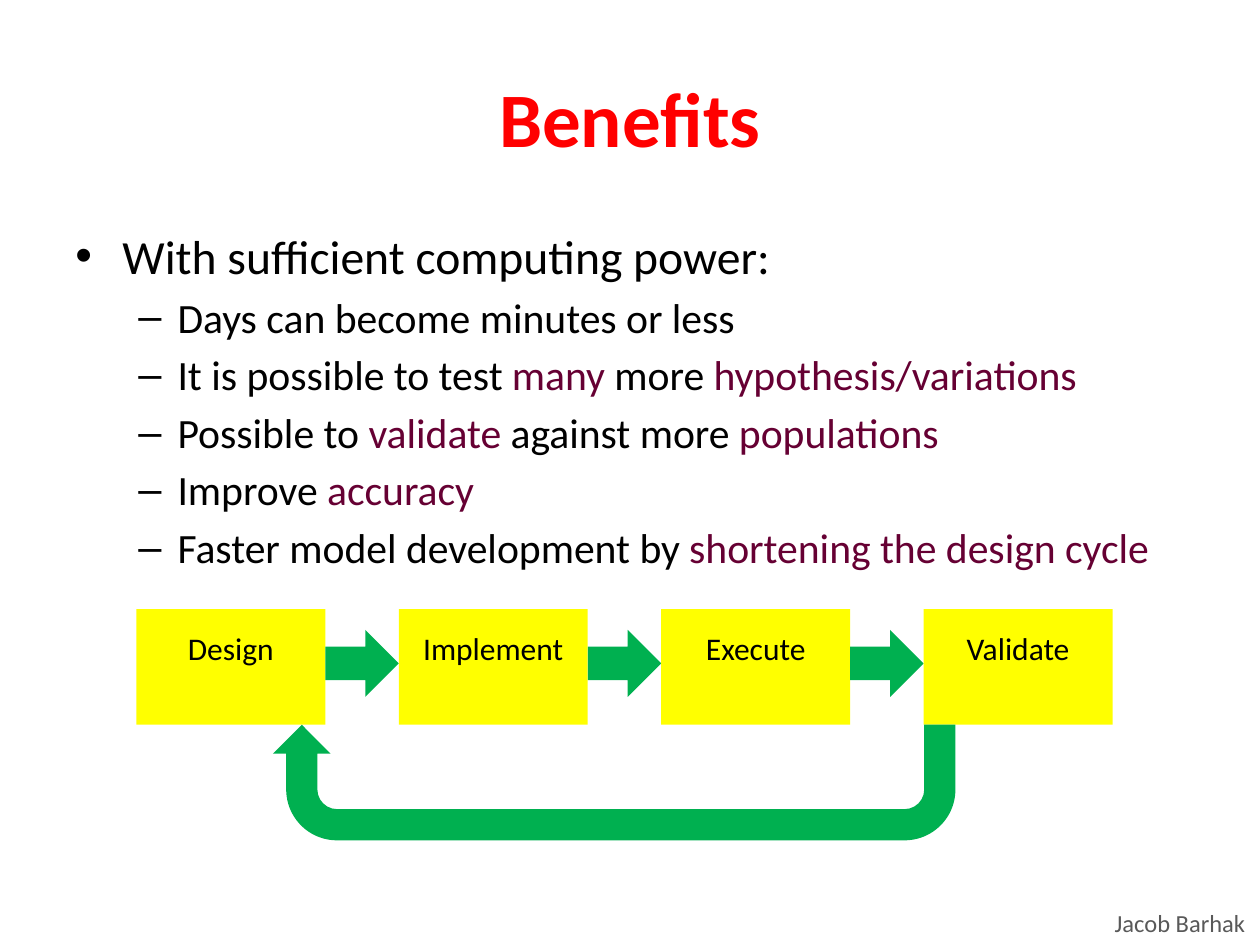
from lxml.etree import SubElement
from pptx import Presentation
from pptx.dml.color import RGBColor
from pptx.enum.shapes import MSO_SHAPE
from pptx.enum.text import MSO_ANCHOR, PP_ALIGN
from pptx.oxml.ns import qn
from pptx.util import Cm, Pt

BLACK, RED, PLUM, GRAY = "000000", "FF0000", "660033", "595959"
YELLOW, GREEN = "FFFF00", "00B050"

HEADING = "With sufficient computing power:"
# Each benefit alternates plain and highlighted text.
BENEFITS = [
    ["Days can become minutes or less"],
    ["It is possible to test ", "many", " more ", "hypothesis/variations"],
    ["Possible to ", "validate", " against more ", "populations"],
    ["Improve ", "accuracy"],
    ["Faster model development by ", "shortening the design cycle"],
]
STAGES = ["Design", "Implement", "Execute", "Validate"]


def color(value):
    return RGBColor.from_string(value)


class SlideBuilder:
    """Holds the text style and the slide being filled."""

    font_name = "Calibri"

    def __init__(self, page):
        self.page = page

    def style(self, para, size, ink, bold=False):
        para.font.name = self.font_name
        para.font.size = Pt(size)
        para.font.bold = bold
        para.font.color.rgb = color(ink)

    def text_box(self, left, top, width, height, wrap=True):
        box = self.page.shapes.add_textbox(Cm(left), Cm(top), Cm(width), Cm(height))
        box.text_frame.word_wrap = wrap
        return box.text_frame

    def label(self, frame, text, size, ink, bold=False, align=PP_ALIGN.CENTER):
        para = frame.paragraphs[0]
        para.text = text
        para.alignment = align
        self.style(para, size, ink, bold)

    def bullet(self, para, parts, size, symbol, margin, hanging, before):
        """Fill a bulleted paragraph, highlighting every second part."""
        self.style(para, size, BLACK)
        para.space_before = Pt(before)
        for index, part in enumerate(parts):
            span = para.add_run()
            span.text = part
            if index % 2:
                span.font.color.rgb = color(PLUM)
        properties = para._p.get_or_add_pPr()
        properties.set("marL", str(Cm(margin)))
        properties.set("indent", str(-Cm(hanging)))
        SubElement(properties, qn("a:buFont"), typeface="Arial")
        SubElement(properties, qn("a:buChar"), char=symbol)

    def shape(self, kind, left, top, width, height, fill):
        shape = self.page.shapes.add_shape(kind, Cm(left), Cm(top), Cm(width), Cm(height))
        shape.shadow.inherit = False
        shape.fill.solid()
        shape.fill.fore_color.rgb = color(fill)
        shape.line.fill.background()
        return shape

    def stage(self, name, left, top, width, height):
        """Add a stage box whose label sits one line above the bottom half."""
        frame = self.shape(MSO_SHAPE.RECTANGLE, left, top, width, height, YELLOW).text_frame
        frame.vertical_anchor = MSO_ANCHOR.MIDDLE
        frame.margin_bottom = Cm(0.9)
        self.label(frame, name, 18, BLACK)


def main():
    deck = Presentation()
    deck.slide_width, deck.slide_height = Cm(25.4), Cm(19.05)
    builder = SlideBuilder(deck.slides.add_slide(deck.slide_layouts[6]))

    footer = builder.text_box(22.22, 18.19, 3.18, 0.86, wrap=False)
    builder.label(footer, "Jacob Barhak", 14, GRAY, align=PP_ALIGN.LEFT)

    title = builder.text_box(1.27, 0.76, 22.86, 3.18)
    title.vertical_anchor = MSO_ANCHOR.MIDDLE
    builder.label(title, "Benefits", 44, RED, bold=True)

    body = builder.text_box(1.27, 4.45, 22.86, 7.6)
    builder.bullet(body.paragraphs[0], [HEADING], 27.2, "•", 0.95, 0.95, 2)
    for parts in BENEFITS:
        para = body.add_paragraph()
        para.level = 1
        builder.bullet(para, parts, 23.8, "–", 2.06, 0.79, 4.3)

    first_left, top, width, height, gap = 2.75, 12.28, 3.81, 2.33, 1.48
    for index, name in enumerate(STAGES):
        left = first_left + index * (width + gap)
        builder.stage(name, left, top, width, height)
        if index < len(STAGES) - 1:
            builder.shape(MSO_SHAPE.RIGHT_ARROW, left + width, 12.7, gap, 1.35, GREEN)

    cycle = builder.shape(MSO_SHAPE.U_TURN_ARROW, 5.5, top + height, 13.76, height, GREEN)
    cycle.rotation = 180
    for index, value in enumerate([0.27, 0.25, 0.25, 0.44, 1]):
        cycle.adjustments[index] = value

    deck.save("out.pptx")


if __name__ == "__main__":
    main()
